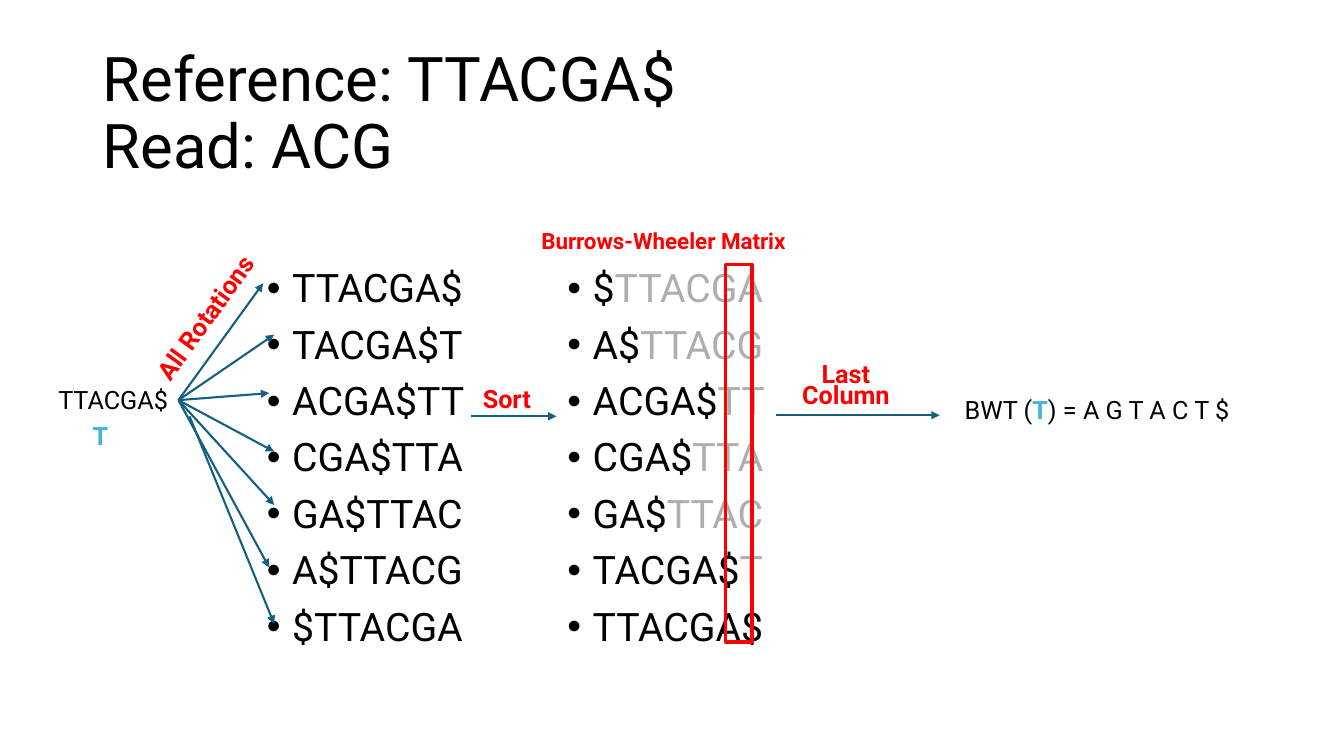
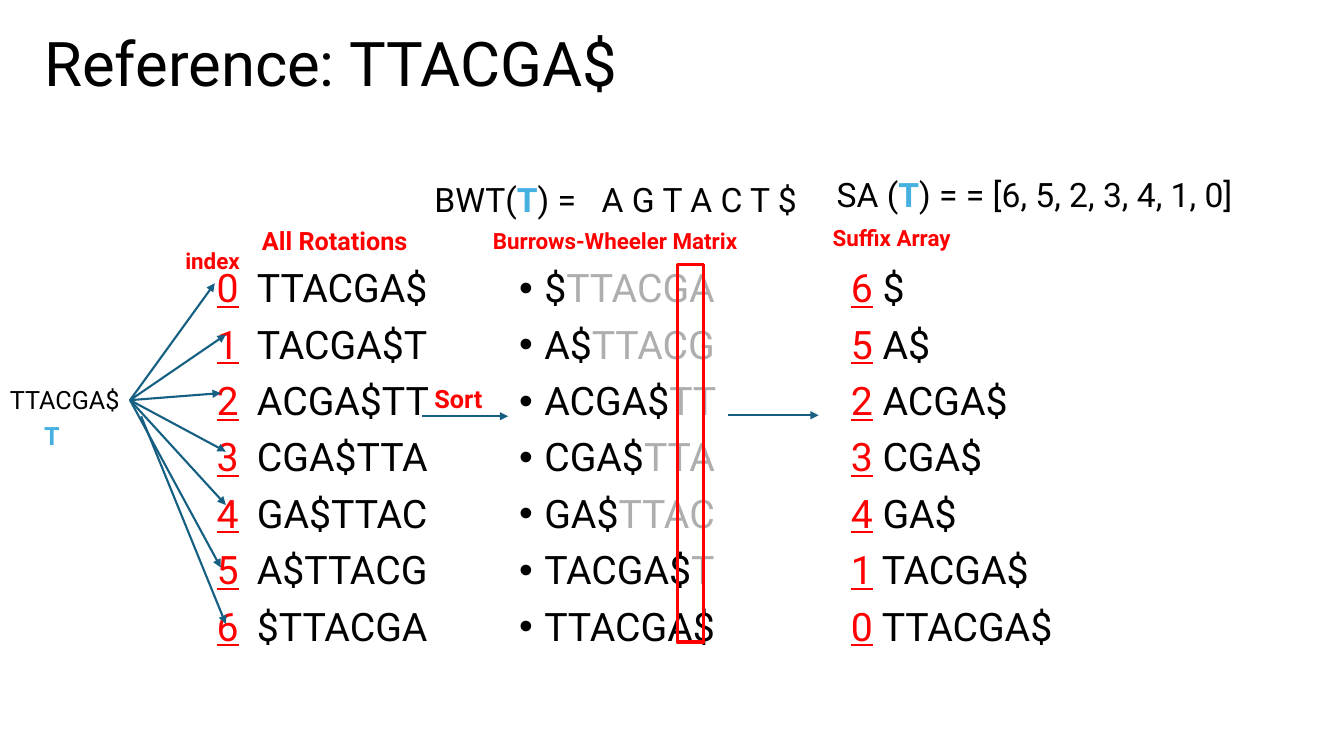
from collections import namedtuple

from lxml import etree
from pptx import Presentation
from pptx.dml.color import RGBColor
from pptx.enum import shapes, text
from pptx.oxml import ns
from pptx.util import Inches, Pt

FONT = "Roboto"
BLACK = RGBColor(0x00, 0x00, 0x00)
RED = RGBColor(0xFF, 0x00, 0x00)
GREY = RGBColor(0xAE, 0xAE, 0xAE)
SKY = RGBColor(0x46, 0xB1, 0xE1)
TEAL = RGBColor(0x15, 0x60, 0x82)

Style = namedtuple("Style", "color bold underline", defaults=(False, False))
PLAIN = Style(BLACK)
FADED = Style(GREY)
LABEL = Style(RED, bold=True)
SYMBOL = Style(SKY, bold=True)
INDEX = Style(RED, underline=True)

REFERENCE = "TTACGA$"
READ = "ACG"
ROTATIONS = [REFERENCE[i:] + REFERENCE[:i] for i in range(len(REFERENCE))]
SUFFIX_ARRAY = sorted(range(len(REFERENCE)), key=lambda i: ROTATIONS[i])
BWT = " ".join(ROTATIONS[i][-1] for i in SUFFIX_ARRAY)

FAN_START = (1.77, 3.97)
LAST_FAN_START = (1.88, 4.13)
FAN_ENDS = [(2.61, 2.81), (2.72, 3.32), (2.67, 3.9), (2.72, 4.48),
            (2.72, 5.01), (2.67, 5.63), (2.72, 6.19)]
LIST_TOP, LIST_HEIGHT = 2.62, 4.76
LABEL_HEIGHT = 0.4
SHIFT = 0.48


def add_text(s, at, paragraphs, size, spacing=1.0, before=0, bullet=False,
             align=text.PP_ALIGN.LEFT, rotation=0):
    sp = s.shapes.add_textbox(*map(Inches, at))
    sp.rotation = rotation
    tf = sp.text_frame
    tf.word_wrap = True
    for n, runs in enumerate(paragraphs):
        p = tf.add_paragraph() if n else tf.paragraphs[0]
        p.alignment = align
        p.line_spacing = spacing
        p.space_before = Pt(before)
        if bullet:
            pPr = p._p.get_or_add_pPr()
            pPr.set("marL", str(Inches(0.25)))
            pPr.set("indent", str(-Inches(0.25)))
            etree.SubElement(pPr, ns.qn("a:buFont")).set("typeface", "Arial")
            etree.SubElement(pPr, ns.qn("a:buChar")).set("char", "•")
        for content, style in runs:
            r = p.add_run()
            r.text = content
            r.font.name = FONT
            r.font.size = Pt(size)
            r.font.color.rgb = style.color
            r.font.bold = style.bold
            r.font.underline = style.underline


def add_title(s, left, top, lines):
    add_text(s, (left, top, 11.5, 1.45), [[(line, PLAIN)] for line in lines],
             44, spacing=0.9)


def add_list(s, left, width, rows, bullet=False):
    add_text(s, (left, LIST_TOP, width, LIST_HEIGHT), rows, 28,
             spacing=0.9, before=10, bullet=bullet)


def add_heading(s, left, top, width, label):
    add_text(s, (left, top, width, LABEL_HEIGHT), [[(label, LABEL)]], 16,
             spacing=0.9, before=10)


def add_note(s, left, top, width, content, style, size=18, rotation=0):
    add_text(s, (left, top, width, LABEL_HEIGHT), [[(content, style)]], size,
             rotation=rotation)


def add_arrow(s, start, end):
    line = s.shapes.add_connector(shapes.MSO_CONNECTOR.STRAIGHT,
                                  *map(Inches, (*start, *end)))
    line.line.color.rgb = TEAL
    line.line.width = Pt(1.5)
    spPr = line._element.spPr
    etree.SubElement(spPr.find(ns.qn("a:ln")), ns.qn("a:tailEnd")).set("type", "triangle")
    etree.SubElement(spPr, ns.qn("a:effectLst"))


def add_matrix(s, shift):
    rows = []
    for i in SUFFIX_ARRAY:
        row = [(REFERENCE[i:], PLAIN)]
        if i:
            row.append((REFERENCE[:i], FADED))
        rows.append(row)
    add_list(s, 5.53 - shift, 2.88, rows, bullet=True)
    add_heading(s, 5.27 - shift, 2.23, 2.88, "Burrows-Wheeler Matrix")
    sp = s.shapes.add_shape(shapes.MSO_SHAPE.RECTANGLE, Inches(7.2 - shift),
                            Inches(LIST_TOP), Inches(0.26), Inches(3.75))
    sp.shadow.inherit = False
    sp.fill.background()
    sp.line.color.rgb = RED
    sp.line.width = Pt(2.25)


def add_pipeline(s, shift, last_arrow_end):
    add_matrix(s, shift)
    add_note(s, 0.48 - shift, 3.76, 1.3, REFERENCE, PLAIN)
    add_note(s, 0.82 - shift, 4.12, 0.41, "T", SYMBOL)
    starts = [FAN_START] * (len(FAN_ENDS) - 1) + [LAST_FAN_START]
    for start, end in zip(starts, FAN_ENDS):
        add_arrow(s, (start[0] - shift, start[1]), (end[0] - shift, end[1]))
    add_arrow(s, (4.67 - shift, 4.13), (5.52 - shift, 4.13))
    add_note(s, 4.69 - shift, 3.75, 0.96, "Sort", LABEL)
    add_arrow(s, (7.7 - shift, 4.12), (last_arrow_end, 4.12))


def build_bwt_slide(prs):
    s = prs.slides.add_slide(prs.slide_layouts[6])
    add_title(s, 0.92, 0.43, [f"Reference: {REFERENCE}", f"Read: {READ}"])
    add_list(s, 2.55, 3.06, [[(row, PLAIN)] for row in ROTATIONS], bullet=True)
    add_pipeline(s, 0, 9.32)
    add_note(s, 1.1, 2.73, 2.18, "All Rotations", LABEL, rotation=305.9)
    add_text(s, (7.74, 3.59, 1.3, 0.54), [[("Last", LABEL)], [("Column", LABEL)]],
             18, spacing=0.7, align=text.PP_ALIGN.CENTER)
    add_text(s, (9.47, 3.86, 3.8, LABEL_HEIGHT),
             [[("BWT (", PLAIN), ("T", SYMBOL), (f") = {BWT}", PLAIN)]], 18)


def build_suffix_array_slide(prs):
    s = prs.slides.add_slide(prs.slide_layouts[6])
    add_title(s, 0.34, 0.28, [f"Reference: {REFERENCE}"])
    add_list(s, 2.45, 1.91, [[(row, PLAIN)] for row in ROTATIONS])
    add_list(s, 2.05, 0.6, [[(str(i), INDEX)] for i in range(len(ROTATIONS))])
    add_list(s, 8.34, 2.88, [[(str(i), INDEX), (f" {REFERENCE[i:]}", PLAIN)]
                             for i in SUFFIX_ARRAY])
    add_pipeline(s, SHIFT, 8.12)
    add_note(s, 2.5, 2.19, 2.18, "All Rotations", LABEL)
    add_heading(s, 1.74, 2.43, 0.76, "index")
    add_heading(s, 8.16, 2.21, 2.88, "Suffix Array")
    add_text(s, (4.21, 1.73, 1.66, 0.5),
             [[("BWT(", PLAIN), ("T", SYMBOL), (") =", PLAIN)]], 24)
    add_note(s, 5.87, 1.73, 2.3, BWT, PLAIN, size=24)
    add_text(s, (8.2, 1.68, 4.3, 0.5),
             [[("SA (", PLAIN), ("T", SYMBOL), (f") = = {SUFFIX_ARRAY}", PLAIN)]], 24)


def main():
    prs = Presentation()
    prs.slide_width = Inches(13.33)
    prs.slide_height = Inches(7.5)
    build_bwt_slide(prs)
    build_suffix_array_slide(prs)
    prs.save("out.pptx")


if __name__ == "__main__":
    main()
